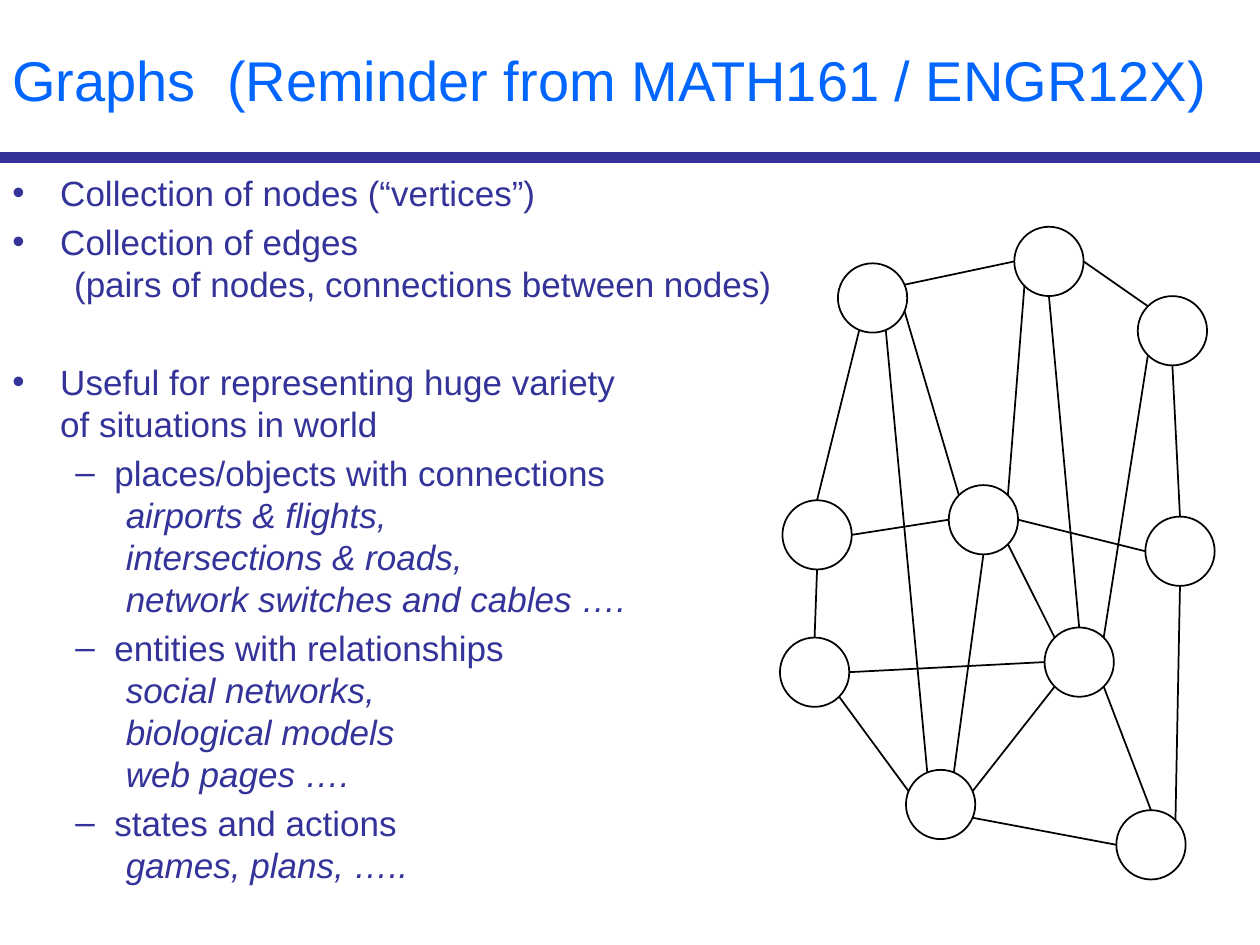
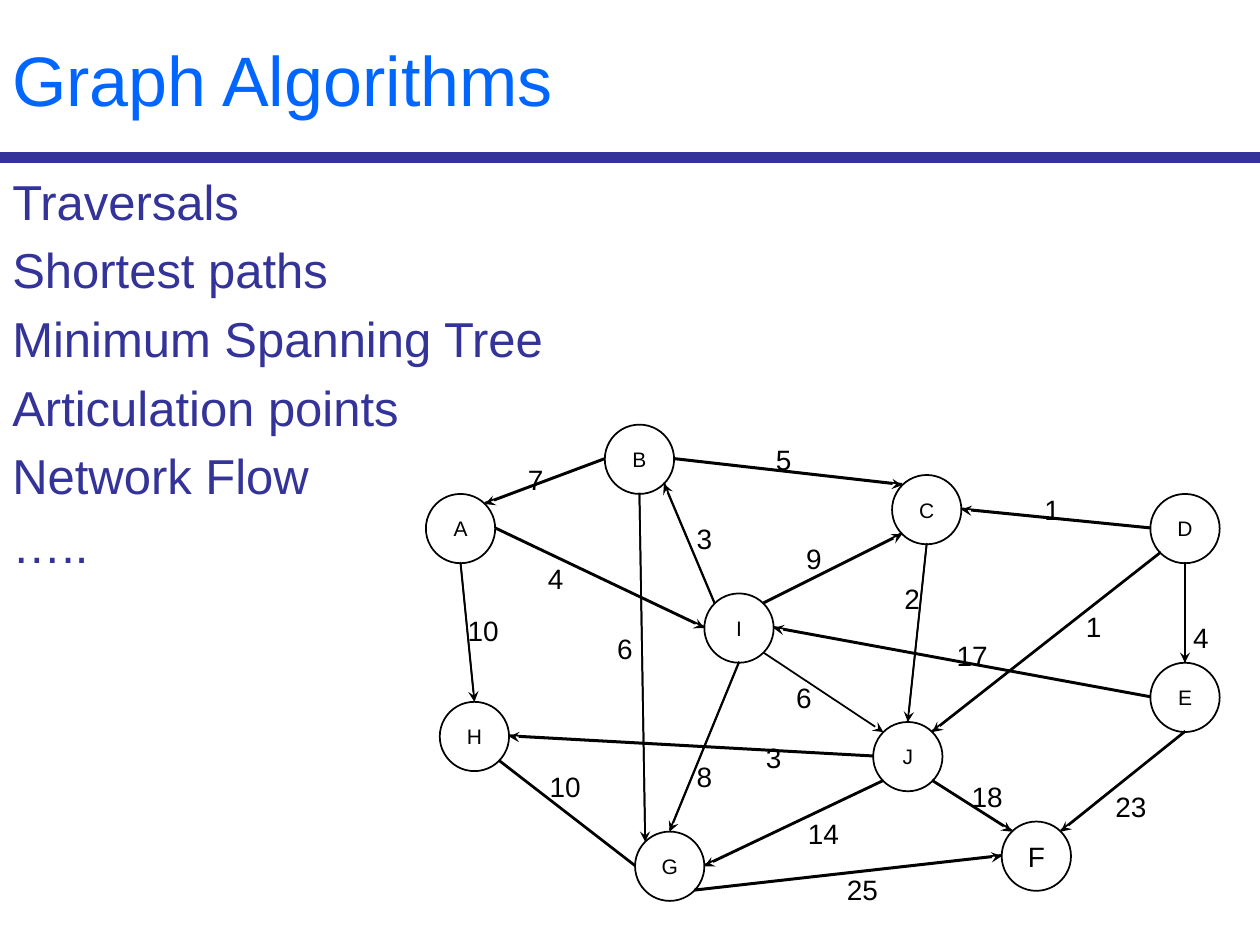
from math import cos, pi, sin

from lxml.etree import SubElement
from pptx import Presentation
from pptx.dml.color import RGBColor
from pptx.enum.shapes import MSO_CONNECTOR as Connector, MSO_SHAPE as Shape
from pptx.enum.text import MSO_ANCHOR as Anchor, PP_ALIGN as Align
from pptx.oxml.ns import qn
from pptx.util import Inches, Pt

FONT, NAVY, BLUE, BLACK, WHITE = "Arial", "333399", "0066FF", "000000", "FFFFFF"
WIDTH, HEIGHT, BAND_Y, BODY_Y = 10, 7.5, 1.25, 1.31
NODE = 0.55
COMPASS = "E ESE SE SSE S SSW SW WSW W WNW NW NNW N NNE NE ENE".split()
RIM = {name: (NODE / 2 * (1 + cos(step * pi / 8)), NODE / 2 * (1 + sin(step * pi / 8)))
       for step, name in enumerate(COMPASS)}


def write(paragraph, text, size, color, italic=False):
    """Add the text run by run, with a line break at each newline."""
    for number, line in enumerate(text.split("\n")):
        if number:
            paragraph.add_line_break()
        run = paragraph.add_run()
        run.text = line
        run.font.name, run.font.size, run.font.italic = FONT, Pt(size), italic
        run.font.color.rgb = RGBColor.from_string(color)


def draw_line(slide, start, end, color=BLACK, width=1, arrow=False):
    line = slide.shapes.add_connector(Connector.STRAIGHT, *map(Inches, start + end))
    line.line.color.rgb = RGBColor.from_string(color)
    line.line.width = Pt(width)
    if arrow:
        SubElement(line.line._get_or_add_ln(), qn("a:tailEnd"), type="stealth")
    SubElement(line._element.spPr, qn("a:effectLst"))


# Paragraph kinds: left margin, first-line indent, bullet, italic, share of size before
KINDS = {
    "plain": (0, 0, None, False, 0.2),
    "bullet": (0.38, -0.38, "•", False, 0.2),
    "bullet after gap": (0.38, -0.38, "•", False, 1.6),
    "more": (0.49, 0, None, False, 0),
    "dash": (0.81, -0.31, "–", False, 0.2),
    "example": (0.9, 0, None, True, 0),
}

# Each edge names a node and the rim point it leaves, then a node and the rim point it meets
reminder = {
    "title": ("Graphs  (Reminder from MATH161 / ENGR12X)", 32),
    "body size": 20,
    "body": [
        ("bullet", "Collection of nodes (“vertices”)"),
        ("bullet", "Collection of edges"),
        ("more", "(pairs of nodes, connections between nodes)"),
        ("bullet after gap", "Useful for representing huge variety\nof situations in world"),
        ("dash", "places/objects with connections"),
        ("example", "airports & flights,\nintersections & roads,\nnetwork switches and cables …."),
        ("dash", "entities with relationships"),
        ("example", "social networks,\nbiological models"),
        ("example", "web pages …."),
        ("dash", "states and actions"),
        ("example", "games, plans, ….."),
    ],
    "nodes": {
        "A": (6.65, 2.09), "B": (8.05, 1.8), "C": (9.03, 2.35), "D": (6.21, 3.97),
        "E": (7.53, 3.85), "F": (9.09, 4.1), "G": (6.19, 5.06), "H": (8.29, 4.98),
        "I": (7.19, 6.11), "J": (8.86, 6.43),
    },
    "label sizes": {},
    "edges": [
        "D S G N", "A SSW D N", "E E F W", "E NW A ESE", "E NE B SW",
        "B E C NW", "C S F N", "C SW H NE", "B S H N", "E SE H NW",
        "H W G E", "A SSE I NNW", "G SE I WNW", "E S I NNE", "H SW I ENE",
        "I ESE J W", "F S J NE", "H SE J N", "A ENE B W", "D E E W",
    ],
    "weights": [],
    "undirected": None,
    "single": None,
}

algorithms = {
    "title": ("Graph Algorithms", 40),
    "body size": 28,
    "body": [("plain", text) for text in (
        "Traversals", "Shortest paths", "Minimum Spanning Tree",
        "Articulation points", "Network Flow", "…..")],
    "nodes": {
        "A": (3.38, 3.92), "B": (4.8, 3.37), "C": (7.08, 3.77), "D": (9.13, 3.92),
        "E": (9.13, 5.26), "F": (7.95, 6.52), "G": (5.04, 6.6), "H": (3.49, 5.57),
        "I": (5.59, 4.71), "J": (6.93, 5.73),
    },
    "label sizes": {name: 16 if name == "F" else 12 for name in "ABCDEFGHIJ"},
    "edges": [
        "I SE J NW", "H SE G W", "I S G N", "J SE F NW", "A S H N",
        "B W A NE", "E W I E", "I NW B SE", "I NE C SW", "D W C E",
        "D S E N", "D SW J NE", "C S J N", "J W H E", "B S G NW",
        "J SW G E", "G SE F W", "E S F NE", "B E C NW", "A E I W",
    ],
    # Weight of each edge, in the same order, with the left and top of its label
    "weights": [
        ("6", 6.22, 5.35), ("10", 4.25, 6.06), ("8", 5.43, 5.98), ("18", 7.6, 6.14),
        ("10", 3.6, 4.82), ("7", 4.09, 3.62), ("17", 7.48, 5.02), ("3", 5.43, 4.09),
        ("9", 6.3, 4.25), ("1", 8.19, 3.86), ("4", 9.37, 4.88), ("1", 8.52, 4.79),
        ("2", 7.08, 4.57), ("3", 5.98, 5.83), ("6", 4.8, 4.96), ("14", 6.3, 6.43),
        ("25", 6.61, 6.88), ("23", 8.74, 6.22), ("5", 6.06, 3.46), ("4", 4.25, 4.41),
    ],
    "undirected": "H SE G W",
    "single": "I SE J NW",
}

presentation = Presentation()
presentation.slide_width, presentation.slide_height = Inches(WIDTH), Inches(HEIGHT)

for content in (reminder, algorithms):
    slide = presentation.slides.add_slide(presentation.slide_layouts[6])
    draw_line(slide, (0, BAND_Y), (WIDTH, BAND_Y), NAVY, 6)

    title = slide.shapes.add_textbox(0, 0, Inches(WIDTH), Inches(BAND_Y)).text_frame
    title.word_wrap, title.vertical_anchor = True, Anchor.MIDDLE
    write(title.paragraphs[0], *content["title"], BLUE)

    body = slide.shapes.add_textbox(
        0, Inches(BODY_Y), Inches(WIDTH), Inches(HEIGHT - BODY_Y)).text_frame
    body.word_wrap = True
    size = content["body size"]
    for number, (kind, text) in enumerate(content["body"]):
        margin, indent, bullet, italic, gap = KINDS[kind]
        paragraph = body.add_paragraph() if number else body.paragraphs[0]
        paragraph.line_spacing, paragraph.space_before = Pt(1.2 * size), Pt(gap * size)
        properties = paragraph._p.get_or_add_pPr()
        properties.set("marL", str(Inches(margin)))
        properties.set("indent", str(Inches(indent)))
        if bullet:
            SubElement(properties, qn("a:buFont"), typeface=FONT)
            SubElement(properties, qn("a:buChar"), char=bullet)
        write(paragraph, text, size, NAVY, italic)

    nodes = content["nodes"]
    for name, (left, top) in nodes.items():
        circle = slide.shapes.add_shape(Shape.OVAL, *map(Inches, (left, top, NODE, NODE)))
        circle.shadow.inherit = False
        circle.fill.solid()
        circle.fill.fore_color.rgb = RGBColor.from_string(WHITE)
        circle.line.color.rgb = RGBColor.from_string(BLACK)
        circle.line.width = Pt(1)
        if name in content["label sizes"]:
            frame = circle.text_frame
            frame.word_wrap, frame.vertical_anchor = False, Anchor.MIDDLE
            frame.paragraphs[0].alignment = Align.CENTER
            write(frame.paragraphs[0], name, content["label sizes"][name], BLACK)

    for edge in content["edges"]:
        source, leave, target, meet = edge.split()
        start, end = [(nodes[node][0] + RIM[point][0], nodes[node][1] + RIM[point][1])
                      for node, point in ((source, leave), (target, meet))]
        directed = bool(content["weights"]) and edge != content["undirected"]
        if content["weights"] and edge != content["single"]:
            # A plain line just above gives the edge its heavier stroke
            draw_line(slide, (start[0], start[1] - 0.01), (end[0], end[1] - 0.01))
        draw_line(slide, start, end, arrow=directed)

    for weight, left, top in content["weights"]:
        width = 0.15 + 0.16 * len(weight)
        label = slide.shapes.add_textbox(*map(Inches, (left, top, width, 0.37))).text_frame
        label.word_wrap = True
        label.paragraphs[0].alignment = Align.CENTER
        write(label.paragraphs[0], weight, 16, BLACK)

presentation.save("out.pptx")
